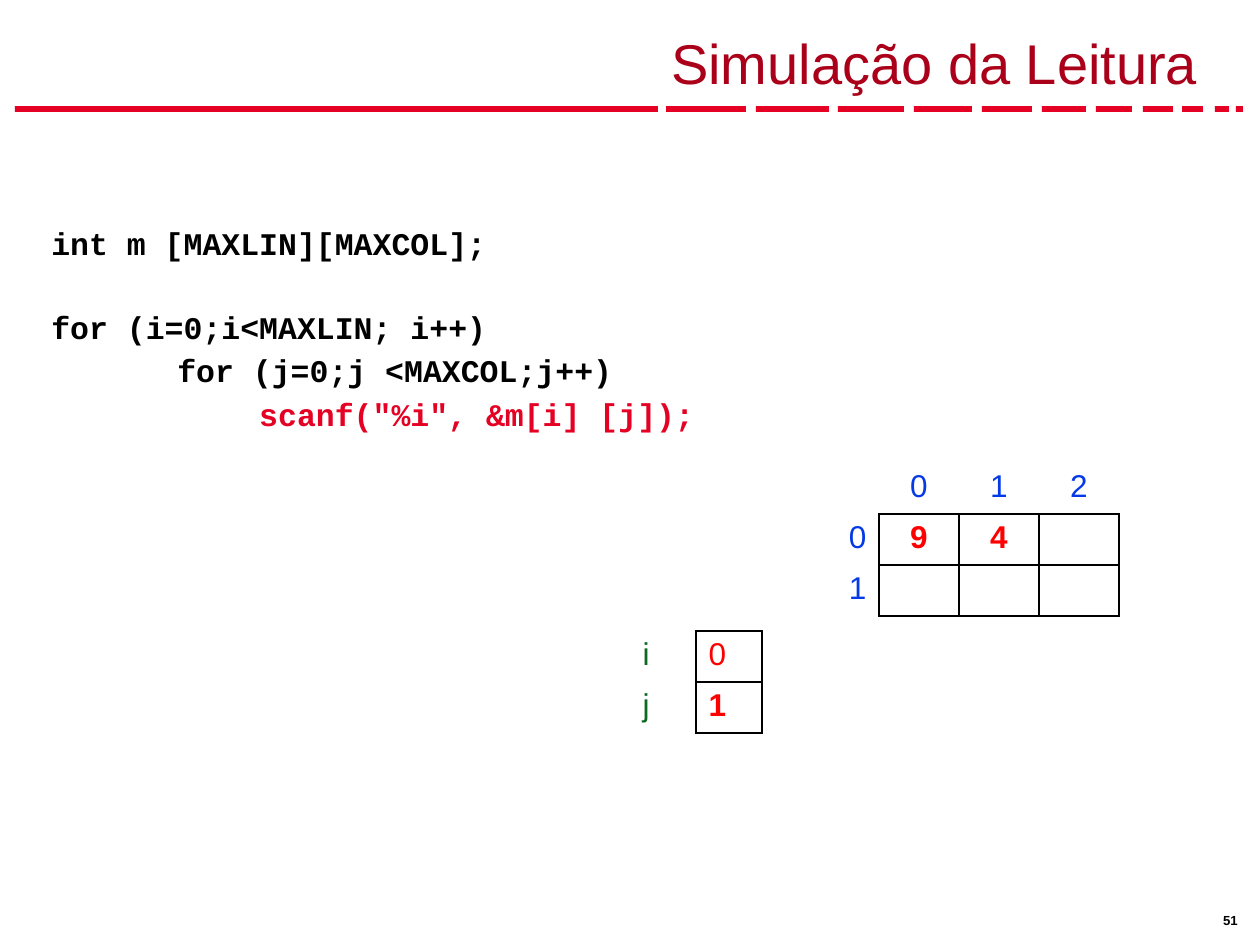
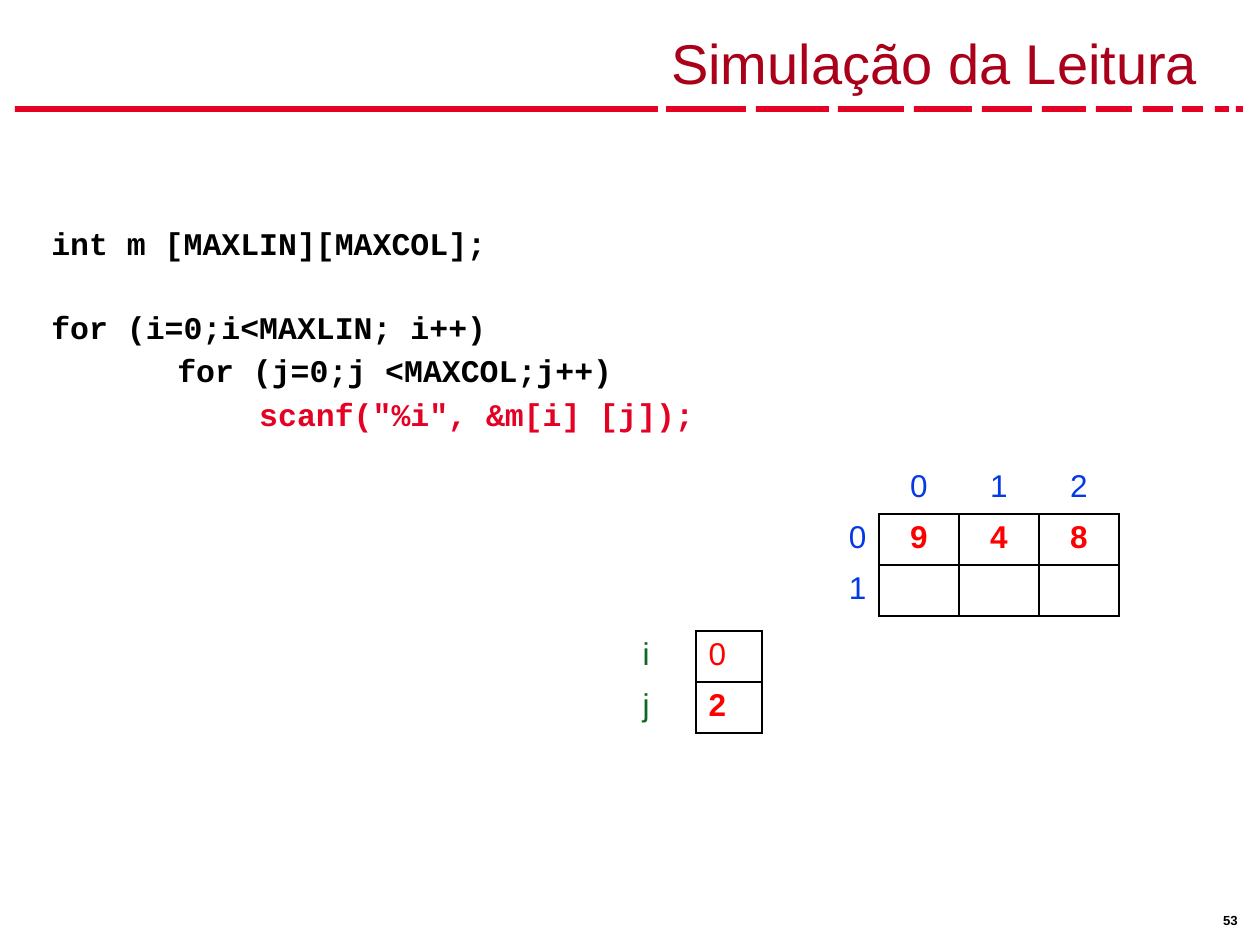
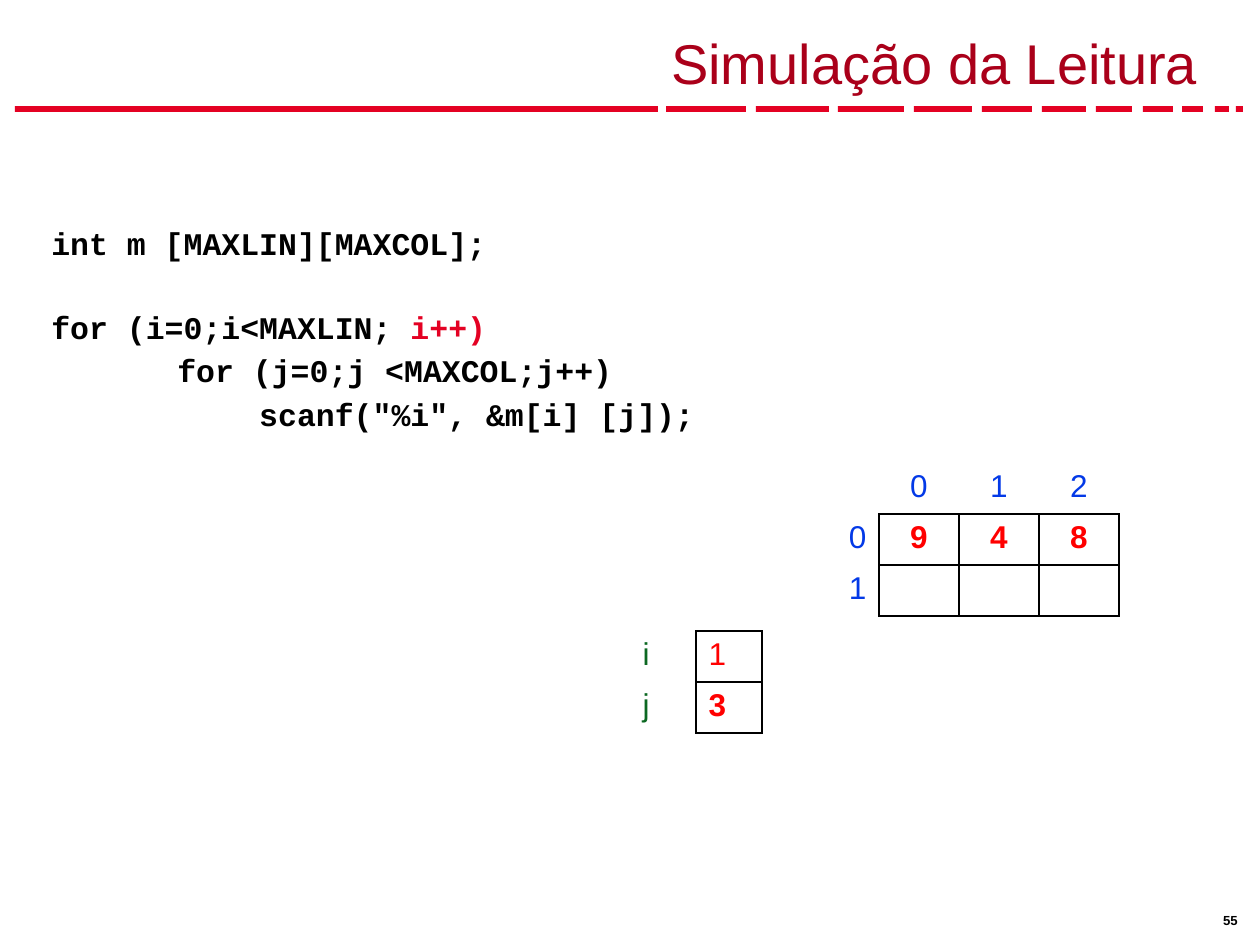
from lxml.etree import SubElement
from pptx import Presentation
from pptx.dml.color import RGBColor
from pptx.enum.shapes import MSO_SHAPE
from pptx.enum.text import MSO_ANCHOR, PP_ALIGN
from pptx.oxml.ns import qn
from pptx.util import Emu, Pt

RED = RGBColor(0xE4, 0x01, 0x23)
DARK_RED = RGBColor(0xAA, 0x00, 0x1A)
VALUE_RED = RGBColor(0xFF, 0x00, 0x00)
BLUE = RGBColor(0x03, 0x39, 0xE7)
GREEN = RGBColor(0x0C, 0x68, 0x22)
BLACK = RGBColor(0x00, 0x00, 0x00)
WHITE = RGBColor(0xFF, 0xFF, 0xFF)

# Text formats
TITLE = dict(name="Arial", size=Pt(32), color=DARK_RED)
NUMBER = dict(name="Arial", size=Pt(7.5), color=BLACK, bold=True)
CODE = dict(name="Courier New", size=Pt(18), color=BLACK, bold=True)
INDEX = dict(name="Arial", size=Pt(18), color=BLUE, bold=False)
VARIABLE = INDEX | dict(color=GREEN)
VALUE = INDEX | dict(color=VALUE_RED)
BOLD_VALUE = VALUE | dict(bold=True)

# Left edge and width of each dash under the title
DASHES = [(15, 643), (666, 80), (756, 73), (838, 66), (914, 58), (982, 50),
          (1042, 44), (1096, 36), (1143, 30), (1182, 21), (1215, 14), (1236, 7)]

SCANF = 'scanf("%i", &m[i] [j]);'
# Code lines, each with its space before in points
CODE_LINES = [("int m [MAXLIN][MAXCOL];", 0),
              ("for (i=0;i<MAXLIN; i++)", 24.8),
              ("      \tfor (j=0;j <MAXCOL;j++)", 1.4),
              ("         \t " + SCANF, 1.4)]

# Page number, highlighted code, first matrix row, i, j
STEPS = [("51", SCANF, ["9", "4", ""], "0", "1"),
         ("53", SCANF, ["9", "4", "8"], "0", "2"),
         ("55", "i++)", ["9", "4", "8"], "1", "3")]

ROW_HEIGHT = 51


def px(n):
    return Emu(round(n * 914400 / 126))


def add_run(p, text, fmt):
    r = p.add_run()
    r.text = text
    for key, value in fmt.items():
        if key == "color":
            r.font.color.rgb = value
        else:
            setattr(r.font, key, value)


def add_box(s, x, y, w, h, **frame):
    tf = s.shapes.add_textbox(px(x), px(y), px(w), px(h)).text_frame
    for key, value in (dict(word_wrap=True) | frame).items():
        setattr(tf, key, value)
    return tf


def add_header(s):
    for x, w in DASHES:
        sp = s.shapes.add_shape(MSO_SHAPE.RECTANGLE, px(x), px(106), px(w), px(6))
        sp.shadow.inherit = False
        sp.fill.solid()
        sp.fill.fore_color.rgb = RED
        sp.line.fill.background()
    tf = add_box(s, 39, 10, 1187, 92, vertical_anchor=MSO_ANCHOR.BOTTOM)
    p = tf.paragraphs[0]
    p.alignment = PP_ALIGN.RIGHT
    add_run(p, "Simulação da Leitura ", TITLE)


def add_page_number(s, number):
    tf = add_box(s, 1213, 907, 42, 25, word_wrap=False, margin_left=px(10),
                 margin_right=px(10), margin_top=px(5), margin_bottom=px(5))
    add_run(tf.paragraphs[0], number, NUMBER)


def add_code(s, highlight):
    tf = add_box(s, 39, 127, 791, 341, margin_top=px(94))
    for n, (line, before) in enumerate(CODE_LINES):
        p = tf.add_paragraph() if n else tf.paragraphs[0]
        p.line_spacing = 1.08
        p.space_before = Pt(before)
        for part in line.partition(highlight):
            if part:
                add_run(p, part, CODE | dict(color=RED if part == highlight else BLACK))


def set_borders(cell, sides):
    tc_pr = cell._tc.get_or_add_tcPr()
    for n, side in enumerate("LRTB"):
        ln = SubElement(tc_pr, qn("a:ln" + side), w=str(Pt(1)))
        if side in sides:
            fill = SubElement(ln, qn("a:solidFill"))
            SubElement(fill, qn("a:srgbClr"), val=str(BLACK))
        else:
            SubElement(ln, qn("a:noFill"))
        tc_pr.insert(n, ln)


def add_grid(s, x, y, col_width, rows):
    """Each cell is (text, format, alignment, bordered sides)."""
    n_rows, n_cols = len(rows), len(rows[0])
    frame = s.shapes.add_table(n_rows, n_cols, px(x), px(y),
                               px(col_width * n_cols), px(ROW_HEIGHT * n_rows))
    table = frame.table
    table.first_row = table.horz_banding = False
    for col in table.columns:
        col.width = px(col_width)
    for i, row in enumerate(rows):
        table.rows[i].height = px(ROW_HEIGHT)
        for j, (text, fmt, align, sides) in enumerate(row):
            cell = table.cell(i, j)
            cell.fill.solid()
            cell.fill.fore_color.rgb = WHITE
            set_borders(cell, sides)
            p = cell.text_frame.paragraphs[0]
            p.alignment = align
            if text:
                add_run(p, text, fmt)


def add_matrix(s, first_row):
    rows = [[("", INDEX, PP_ALIGN.CENTER, "")]
            + [(c, INDEX, PP_ALIGN.CENTER, "B") for c in "012"]]
    for index, values in zip("01", [first_row, [""] * 3]):
        rows.append([(index, INDEX, PP_ALIGN.RIGHT, "R")]
                    + [(v, BOLD_VALUE, PP_ALIGN.CENTER, "LRTB") for v in values])
    add_grid(s, 799, 463, 80, rows)


def add_counters(s, i, j):
    rows = [[(name, VARIABLE, PP_ALIGN.LEFT, "R"), (value, fmt, PP_ALIGN.LEFT, "LRTB")]
            for name, value, fmt in [("i", i, VALUE), ("j", j, BOLD_VALUE)]]
    add_grid(s, 630, 631, 66, rows)


def main():
    prs = Presentation()
    prs.slide_width, prs.slide_height = px(1260), px(945)
    for number, highlight, first_row, i, j in STEPS:
        s = prs.slides.add_slide(prs.slide_layouts[6])
        add_header(s)
        add_page_number(s, number)
        add_matrix(s, first_row)
        add_counters(s, i, j)
        add_code(s, highlight)
    prs.save("out.pptx")


if __name__ == "__main__":
    main()
